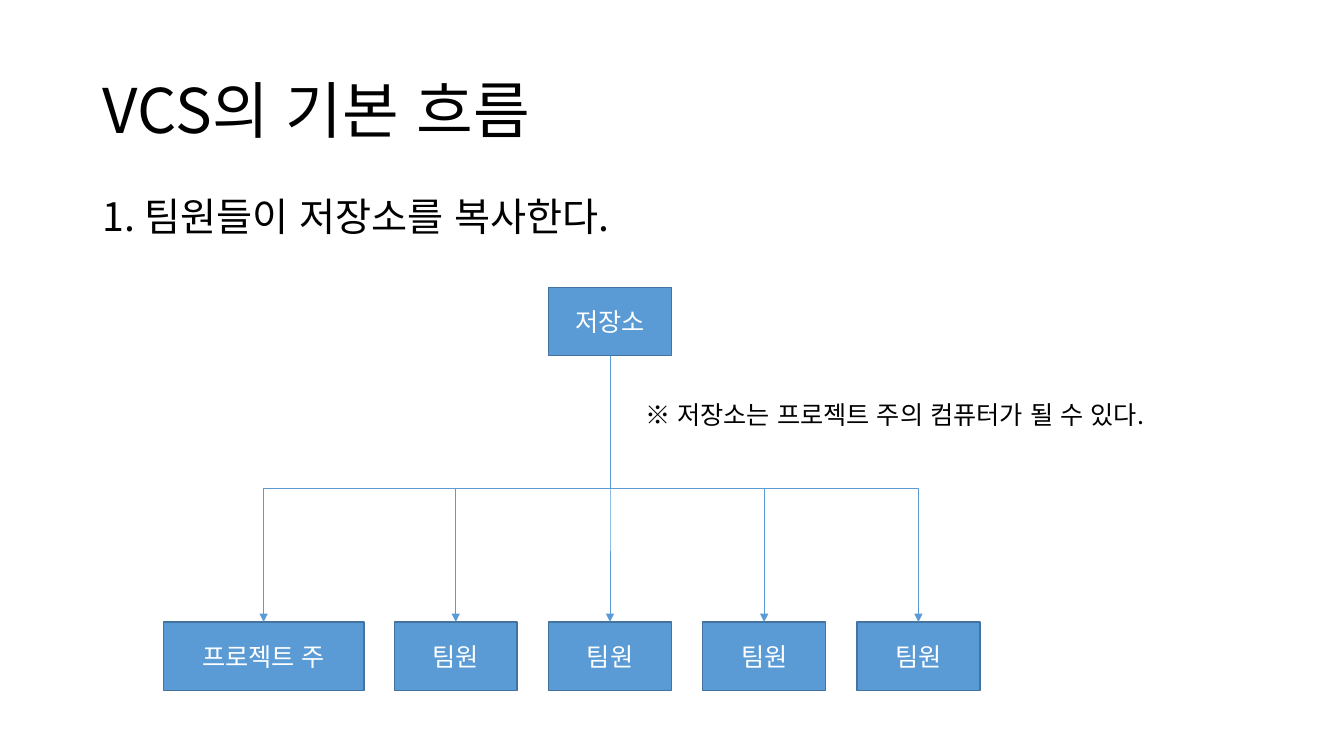
from lxml import etree
from pptx import Presentation
from pptx.dml.color import RGBColor
from pptx.enum.lang import MSO_LANGUAGE_ID
from pptx.enum.shapes import MSO_CONNECTOR, MSO_SHAPE
from pptx.enum.text import MSO_ANCHOR, PP_ALIGN
from pptx.oxml.ns import qn
from pptx.util import Inches, Pt

ELBOW = MSO_CONNECTOR.ELBOW
RECTANGLE = MSO_SHAPE.RECTANGLE
MIDDLE = MSO_ANCHOR.MIDDLE
TOP = MSO_ANCHOR.TOP
LEFT = PP_ALIGN.LEFT
CENTER = PP_ALIGN.CENTER
KOREAN = MSO_LANGUAGE_ID.KOREAN

FONT = "Noto Sans CJK KR"
BLACK = "000000"
WHITE = "FFFFFF"
BLUE = "5B9BD5"
DARK_BLUE = "43739E"

BOX_WIDTH = 1.22
BOX_HEIGHT = 0.68
REPOSITORY_TOP = 2.85
TEAM_TOP = 6.17
MEMBER_LEFT = 3.91
MEMBER_PITCH = 1.53
MEMBER_COUNT = 4


def color(hex_value):
    return RGBColor.from_string(hex_value)


def write_text(frame, text, size=18, hex_value=BLACK, align=LEFT,
               anchor=TOP, wrap=True, line_spacing=None):
    frame.word_wrap = wrap
    frame.vertical_anchor = anchor
    paragraph = frame.paragraphs[0]
    paragraph.alignment = align
    paragraph.line_spacing = line_spacing
    run = paragraph.add_run()
    run.text = text
    run.font.size = Pt(size)
    run.font.color.rgb = color(hex_value)
    run.font.language_id = KOREAN
    run.font.name = FONT
    east_asian = etree.SubElement(run.font._element, qn("a:ea"))
    east_asian.set("typeface", FONT)


def add_label(slide, left, top, width, height, text, size=18):
    label = slide.shapes.add_textbox(
        Inches(left), Inches(top), Inches(width), Inches(height))
    write_text(label.text_frame, text, size=size, wrap=False)


def add_box(slide, left, top, text, width=BOX_WIDTH):
    box = slide.shapes.add_shape(
        RECTANGLE, Inches(left), Inches(top), Inches(width), Inches(BOX_HEIGHT))
    box.shadow.inherit = False
    box.fill.solid()
    box.fill.fore_color.rgb = color(BLUE)
    box.line.color.rgb = color(DARK_BLUE)
    box.line.width = Pt(1)
    write_text(box.text_frame, text, hex_value=WHITE, align=CENTER, anchor=MIDDLE)
    return box


def add_branch(slide, parent, child):
    """Draw a down-across-down arrow from the parent's bottom to the child's top."""
    start_x = parent.left + parent.width // 2
    start_y = parent.top + parent.height
    end_x = child.left + child.width // 2
    end_y = child.top
    branch = slide.shapes.add_connector(ELBOW, start_x, start_y, end_x, end_y)
    branch.begin_connect(parent, 2)
    branch.end_connect(child, 0)

    # An elbow runs sideways by default, so its frame is turned a quarter.
    drop, shift = end_y - start_y, abs(end_x - start_x)
    branch.left = (start_x + end_x - drop) // 2
    branch.top = (start_y + end_y - shift) // 2
    branch.width, branch.height = drop, shift
    goes_right = end_x > start_x
    properties = branch._element.spPr
    frame = properties.find(qn("a:xfrm"))
    frame.set("rot", str((270 if goes_right else 90) * 60000))
    frame.set("flipH", "1" if goes_right else "0")
    frame.set("flipV", "0")

    branch.line.color.rgb = color(BLUE)
    branch.line.width = Pt(0.5)
    arrowhead = etree.SubElement(branch.line._get_or_add_ln(), qn("a:tailEnd"))
    arrowhead.set("type", "triangle")
    etree.SubElement(properties, qn("a:effectLst"))


def add_title(slide, text):
    title = slide.shapes.title
    title.left, title.top = Inches(0.92), Inches(0.4)
    title.width, title.height = Inches(11.5), Inches(1.45)
    write_text(title.text_frame, text, size=44, anchor=MIDDLE, line_spacing=0.9)


def main():
    presentation = Presentation()
    presentation.slide_width = Inches(13.33)
    presentation.slide_height = Inches(7.5)
    slide = presentation.slides.add_slide(presentation.slide_layouts[5])

    add_title(slide, "VCS의 기본 흐름")
    repository = add_box(slide, MEMBER_LEFT + MEMBER_PITCH, REPOSITORY_TOP, "저장소")
    team = [add_box(slide, 1.62, TEAM_TOP, "프로젝트 주", width=1.99)]
    for index in range(MEMBER_COUNT):
        team.append(add_box(slide, MEMBER_LEFT + index * MEMBER_PITCH, TEAM_TOP, "팀원"))
    for member in team:
        add_branch(slide, repository, member)

    add_label(slide, 6.3, 3.91, 5.63, 0.4,
              "※ 저장소는 프로젝트 주의 컴퓨터가 될 수 있다.")
    add_label(slide, 0.92, 1.86, 5.72, 0.57, "1. 팀원들이 저장소를 복사한다.", size=28)

    presentation.save("out.pptx")


if __name__ == "__main__":
    main()
